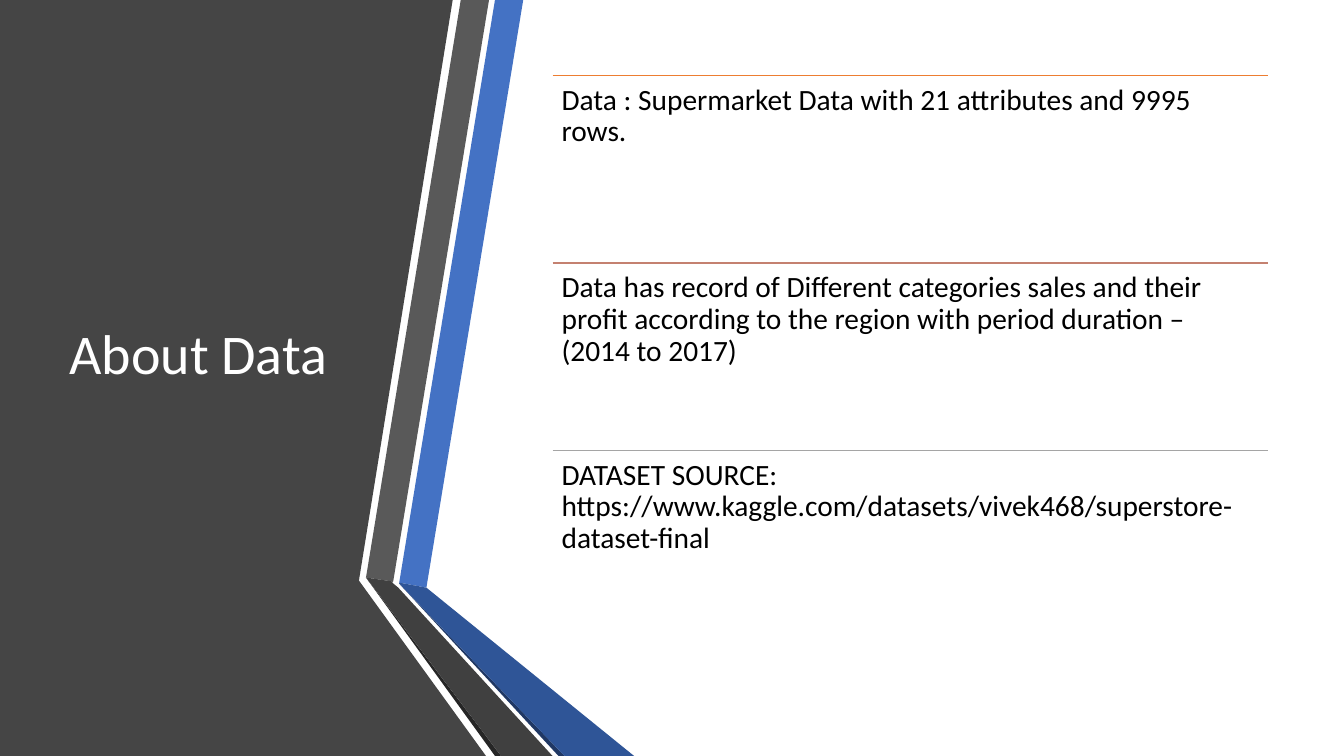
import dataclasses

import pptx
import pptx.dml.color
import pptx.enum.shapes
import pptx.enum.text
import pptx.oxml
import pptx.oxml.ns
import pptx.util

PX = 9144


@dataclasses.dataclass(frozen=True)
class Theme:
    font: str = "Calibri"
    title_size: int = 40
    body_size: int = 21
    panel: str = "454545"
    blue: str = "4472C4"
    blue_fold: str = "2F5597"
    blue_edge: str = "203864"
    gray: str = "595959"
    gray_fold: str = "404040"
    gray_edge: str = "262626"
    title: str = "FFFFFF"
    body: str = "000000"
    rules: tuple = ("ED7D31", "C48170", "A5A5A5")


def color(value):
    return pptx.dml.color.RGBColor.from_string(value)


class Page:
    def __init__(self, deck, theme):
        self.theme = theme
        self.shapes = deck.slides.add_slide(deck.slide_layouts[6]).shapes

    def polygon(self, points, fill):
        builder = self.shapes.build_freeform(*points[0], scale=PX)
        builder.add_line_segments(points[1:], close=True)
        shape = builder.convert_to_shape()
        shape.shadow.inherit = False
        shape.fill.solid()
        shape.fill.fore_color.rgb = color(fill)
        shape.line.fill.background()

    def rule(self, left, top, width, stroke):
        line = self.shapes.add_connector(
            pptx.enum.shapes.MSO_CONNECTOR.STRAIGHT,
            left * PX, top * PX, (left + width) * PX, top * PX)
        line.line.color.rgb = color(stroke)
        line.line.width = pptx.util.Pt(1)
        properties = line._element.spPr
        properties.append(pptx.oxml.parse_xml(
            f"<a:effectLst {pptx.oxml.ns.nsdecls('a')}/>"))

    def text(self, left, top, width, height, words, size, ink, inset, anchor):
        box = self.shapes.add_textbox(left * PX, top * PX, width * PX, height * PX)
        frame = box.text_frame
        frame.word_wrap = True
        frame.vertical_anchor = anchor
        frame.margin_left = frame.margin_right = inset[0] * PX
        frame.margin_top = frame.margin_bottom = inset[1] * PX
        para = frame.paragraphs[0]
        para.text = words
        para.line_spacing = 0.9
        para.font.name = self.theme.font
        para.font.size = pptx.util.Pt(size)
        para.font.color.rgb = color(ink)


def main():
    theme = Theme()
    anchor = pptx.enum.text.MSO_ANCHOR
    deck = pptx.Presentation()
    deck.slide_width = pptx.util.Inches(13.33)
    deck.slide_height = pptx.util.Inches(7.5)
    page = Page(deck, theme)

    ribbons = [
        ([(0, 0), (449, 0), (356, 576), (482, 750), (0, 750)], theme.panel),
        ([(396, 578), (423, 583), (519, 0), (491, 0)], theme.blue),
        ([(485, 0), (457, 0), (363, 573), (390, 577)], theme.gray),
        ([(363, 573), (491, 750), (497, 750)], theme.gray_edge),
        ([(396, 579), (554, 750), (560, 750)], theme.blue_edge),
        ([(396, 578), (396, 579), (560, 750), (629, 750), (423, 583)], theme.blue_fold),
        ([(548, 750), (395, 583), (389, 578), (390, 577), (363, 573), (497, 750)],
         theme.gray_fold),
    ]
    for points, fill in ribbons:
        page.polygon(points, fill)

    page.text(59, 75, 304, 558, "About Data", theme.title_size, theme.title,
              (10, 5), anchor.MIDDLE)

    facts = [
        "Data : Supermarket Data with 21 attributes and 9995 rows.",
        "Data has record of Different categories sales and their profit according "
        "to the region with period duration – (2014 to 2017)",
        "DATASET SOURCE: https://www.kaggle.com/datasets/vivek468/superstore-dataset-final",
    ]
    left, first_top, width, row_height = 548, 75, 710, 186
    for row, (fact, stroke) in enumerate(zip(facts, theme.rules)):
        top = first_top + row * row_height
        page.rule(left, top, width, stroke)
        page.text(left, top, width, row_height, fact, theme.body_size, theme.body,
                  (9, 9), anchor.TOP)

    deck.save("out.pptx")


if __name__ == "__main__":
    main()
